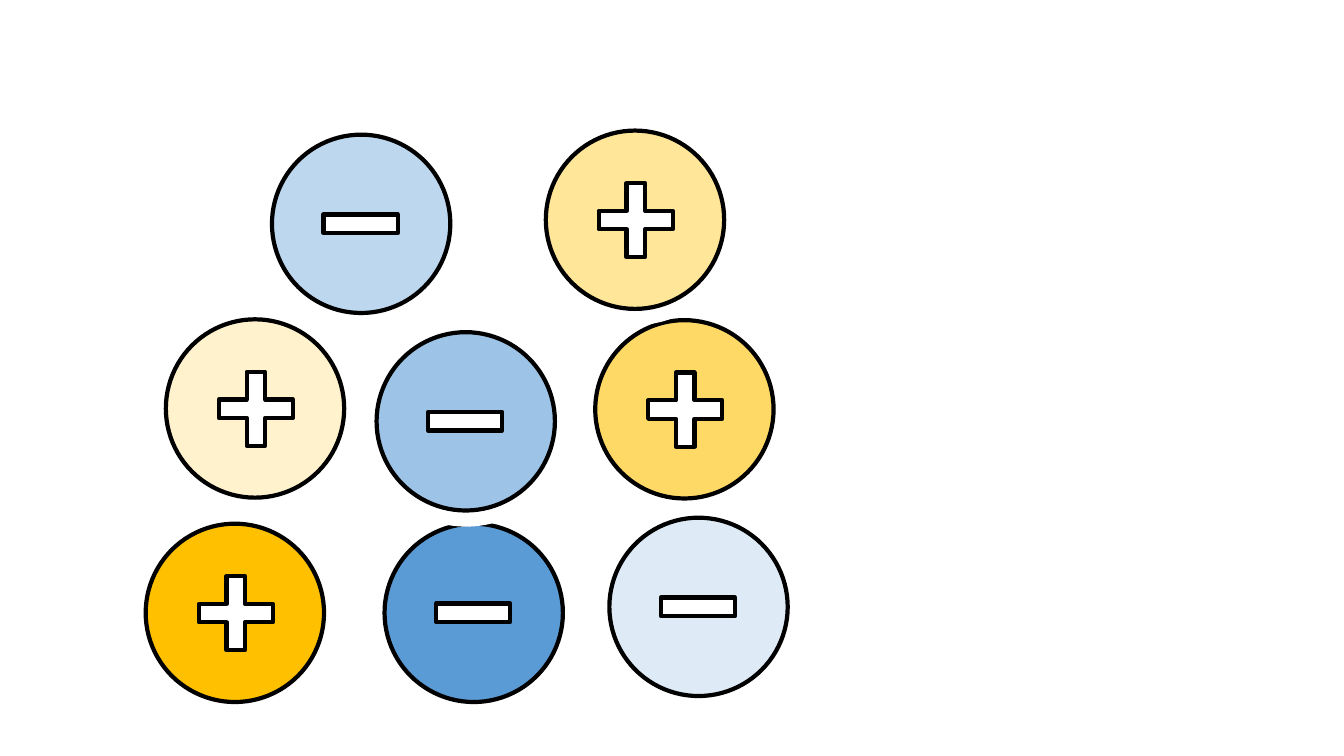
from dataclasses import dataclass

from pptx import Presentation
from pptx.dml.color import RGBColor
from pptx.enum.shapes import MSO_SHAPE as Shape
from pptx.shapes.autoshape import Shape as AutoShape
from pptx.shapes.shapetree import GroupShapes, SlideShapes
from pptx.util import Pt


@dataclass(frozen=True)
class Theme:
    white: str = "FFFFFF"
    outline: str = "000000"
    halo_line: float = 8
    outline_line: float = 3


@dataclass(frozen=True)
class Sign:
    preset: Shape
    dx: float
    dy: float
    width: float
    height: float
    thickness: float


@dataclass(frozen=True)
class Ion:
    left: float
    top: float
    colour: str
    sign: Sign


THEME = Theme()
HALO_SIZE = 141.8
DISC_SIZE = 127.4
DISC_INSET = (HALO_SIZE - DISC_SIZE) / 2 - 0.3

PLUS = Sign(Shape.MATH_PLUS, 35.2, 34.8, 72, 72, 0.183)
MINUS = Sign(Shape.MATH_MINUS, 34.2, 37.4, 72, 66.2, 0.2)

IONS = [
    Ion(97.2, 367.2, "FFC000", PLUS),
    Ion(418.3, 221.8, "FFD966", PLUS),
    Ion(383, 86.4, "FFE699", PLUS),
    Ion(111.6, 221.2, "FFF2CC", PLUS),
    Ion(428.4, 362.9, "DEEBF7", MINUS),
    Ion(267.8, 367.2, "5B9BD5", MINUS),
    Ion(262.1, 230.4, "9DC3E6", MINUS),
    Ion(187.4, 89.3, "BDD7EE", MINUS),
]


def add_part(parts: GroupShapes, preset: Shape, left: float, top: float,
             width: float, height: float, fill: str,
             line: str = THEME.outline,
             line_width: float = THEME.outline_line) -> AutoShape:
    part = parts.add_shape(preset, Pt(left), Pt(top), Pt(width), Pt(height))
    part.shadow.inherit = False
    part.fill.solid()
    part.fill.fore_color.rgb = RGBColor.from_string(fill)
    part.line.color.rgb = RGBColor.from_string(line)
    part.line.width = Pt(line_width)
    return part


def add_ion(shapes: SlideShapes, ion: Ion) -> None:
    parts = shapes.add_group_shape().shapes
    add_part(parts, Shape.OVAL, ion.left, ion.top, HALO_SIZE, HALO_SIZE,
             THEME.white, THEME.white, THEME.halo_line)
    add_part(parts, Shape.OVAL, ion.left + DISC_INSET, ion.top + DISC_INSET,
             DISC_SIZE, DISC_SIZE, ion.colour)
    sign = ion.sign
    charge = add_part(parts, sign.preset, ion.left + sign.dx, ion.top + sign.dy,
                      sign.width, sign.height, THEME.white)
    charge.adjustments[0] = sign.thickness


def main() -> None:
    deck = Presentation()
    deck.slide_width, deck.slide_height = Pt(960), Pt(540)
    slide = deck.slides.add_slide(deck.slide_layouts[6])
    for ion in IONS:
        add_ion(slide.shapes, ion)
    deck.save("out.pptx")


if __name__ == "__main__":
    main()
